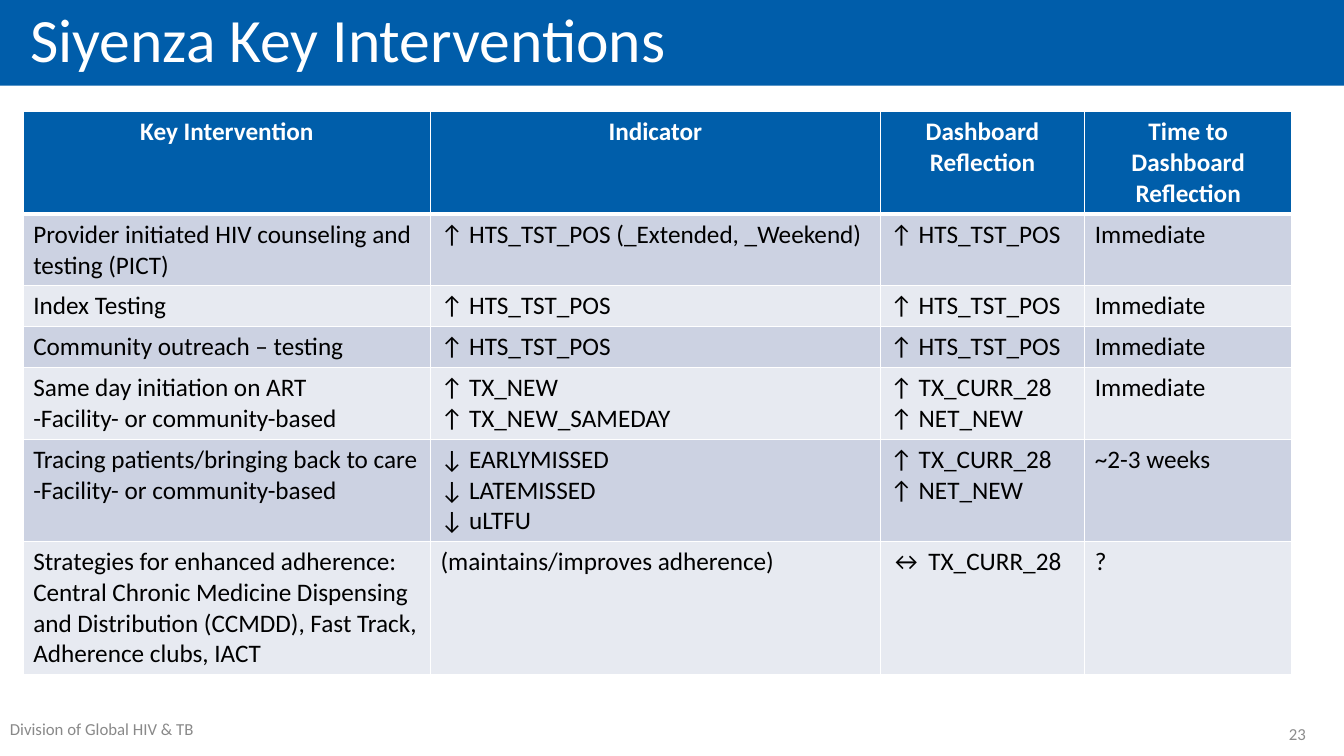
import pptx
import pptx.dml.color
import pptx.enum.text
import pptx.oxml
import pptx.oxml.ns
import pptx.util

PX = 9144  # 100 px to the inch
RGBColor = pptx.dml.color.RGBColor
Align = pptx.enum.text.PP_ALIGN
Anchor = pptx.enum.text.MSO_ANCHOR

TITLE_BLUE = RGBColor(0x00, 0x5D, 0xAA)
HEADER_BLUE = RGBColor(0x00, 0x5E, 0xAA)
BAND_DARK = RGBColor(0xCC, 0xD2, 0xE2)
BAND_LIGHT = RGBColor(0xE7, 0xEA, 0xF1)
FOOTER_GRAY = RGBColor(0x89, 0x89, 0x89)
NUMBER_GRAY = RGBColor(0x8C, 0x8C, 0x8C)
WHITE = RGBColor(0xFF, 0xFF, 0xFF)
BLACK = RGBColor(0x00, 0x00, 0x00)

COLUMN_WIDTHS = [404, 446, 203, 205]
LINE_HEIGHT = 30
CELL_PADDING = 10

# Lines of text in the tallest cell, then the cells of the row
ROWS = [
    (3, ["Key Intervention", "Indicator", "Dashboard Reflection",
         "Time to Dashboard Reflection"]),
    (2, ["Provider initiated HIV counseling and testing (PICT)",
         "↑ HTS_TST_POS (_Extended, _Weekend)", "↑ HTS_TST_POS", "Immediate"]),
    (1, ["Index Testing", "↑ HTS_TST_POS", "↑ HTS_TST_POS", "Immediate"]),
    (1, ["Community outreach – testing", "↑ HTS_TST_POS", "↑ HTS_TST_POS",
         "Immediate"]),
    (2, ["Same day initiation on ART\n-Facility- or community-based",
         "↑ TX_NEW\n↑ TX_NEW_SAMEDAY", "↑ TX_CURR_28\n↑ NET_NEW", "Immediate"]),
    (3, ["Tracing patients/bringing back to care\n-Facility- or community-based",
         "↓ EARLYMISSED\n↓ LATEMISSED\n↓ uLTFU", "↑ TX_CURR_28\n↑ NET_NEW",
         "~2-3 weeks"]),
    (4, ["Strategies for enhanced adherence:\nCentral Chronic Medicine Dispensing "
         "and Distribution (CCMDD), Fast Track, Adherence clubs, IACT",
         "(maintains/improves adherence)", "↔ TX_CURR_28", "?"]),
]


def write(text_frame, text, size, color, align=Align.LEFT, bold=False):
    """Fill the frame with one paragraph per line of text."""
    for index, line in enumerate(text.split("\n")):
        paragraph = text_frame.add_paragraph() if index else text_frame.paragraphs[0]
        paragraph.alignment = align
        run = paragraph.add_run()
        run.text = line
        run.font.name = "Calibri"
        run.font.size = pptx.util.Pt(size)
        run.font.bold = bold
        run.font.color.rgb = color


def add_border(cell, side, points):
    border = pptx.oxml.parse_xml(
        f'<a:{side} {pptx.oxml.ns.nsdecls("a")} w="{pptx.util.Pt(points)}">'
        f'<a:solidFill><a:srgbClr val="{WHITE}"/></a:solidFill></a:{side}>')
    cell._tc.get_or_add_tcPr().append(border)


presentation = pptx.Presentation()
presentation.slide_width = 1333 * PX
presentation.slide_height = 750 * PX
slide = presentation.slides.add_slide(presentation.slide_layouts[5])

# Title bar
title = slide.shapes.title
title.left, title.top, title.width, title.height = 0, -1 * PX, 1333 * PX, 86 * PX
title.fill.solid()
title.fill.fore_color.rgb = TITLE_BLUE
title_frame = title.text_frame
title_frame.auto_size = pptx.enum.text.MSO_AUTO_SIZE.NONE
title_frame.vertical_anchor = Anchor.MIDDLE
title_frame.margin_left = title_frame.margin_right = 30 * PX
title_frame.margin_top = title_frame.margin_bottom = 5 * PX
write(title_frame, "Siyenza Key Interventions", 44, WHITE)
title_frame.paragraphs[0].line_spacing = 0.9

# Interventions table
row_heights = [CELL_PADDING + LINE_HEIGHT * lines for lines, texts in ROWS]
table = slide.shapes.add_table(
    len(ROWS), len(COLUMN_WIDTHS), 23 * PX, 111 * PX,
    sum(COLUMN_WIDTHS) * PX, sum(row_heights) * PX).table
for column, width in zip(table.columns, COLUMN_WIDTHS):
    column.width = width * PX

for row_index, (lines, texts) in enumerate(ROWS):
    table.rows[row_index].height = row_heights[row_index] * PX
    is_header = row_index == 0
    if is_header:
        fill_color = HEADER_BLUE
    else:
        fill_color = BAND_DARK if row_index % 2 else BAND_LIGHT
    for column_index, text in enumerate(texts):
        cell = table.cell(row_index, column_index)
        add_border(cell, "lnL", 1)
        add_border(cell, "lnR", 1)
        add_border(cell, "lnT", 3 if row_index == 1 else 1)
        add_border(cell, "lnB", 3 if is_header else 1)
        cell.fill.solid()
        cell.fill.fore_color.rgb = fill_color
        write(cell.text_frame, text, 18, WHITE if is_header else BLACK,
              Align.CENTER if is_header else Align.LEFT, is_header)

# Footer
for left, width, text, color, align, anchor in [
    (0, 217, "Division of Global HIV & TB", FOOTER_GRAY, Align.LEFT, Anchor.TOP),
    (1190, 115, "23", NUMBER_GRAY, Align.RIGHT, Anchor.MIDDLE),
]:
    footer_box = slide.shapes.add_textbox(left * PX, 708 * PX, width * PX, 40 * PX)
    footer_box.text_frame.word_wrap = True
    footer_box.text_frame.vertical_anchor = anchor
    write(footer_box.text_frame, text, 12, color, align)

presentation.save("out.pptx")
